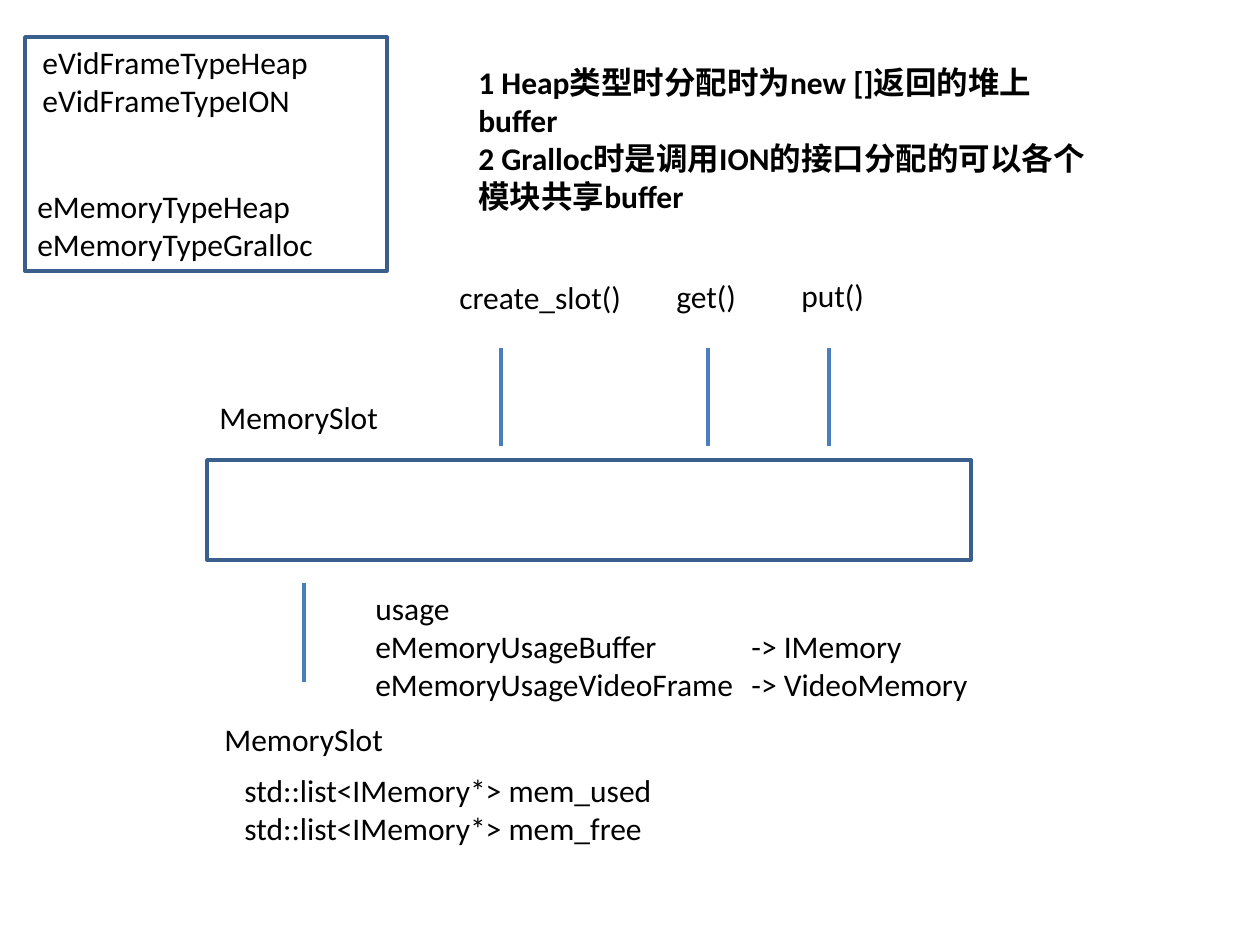
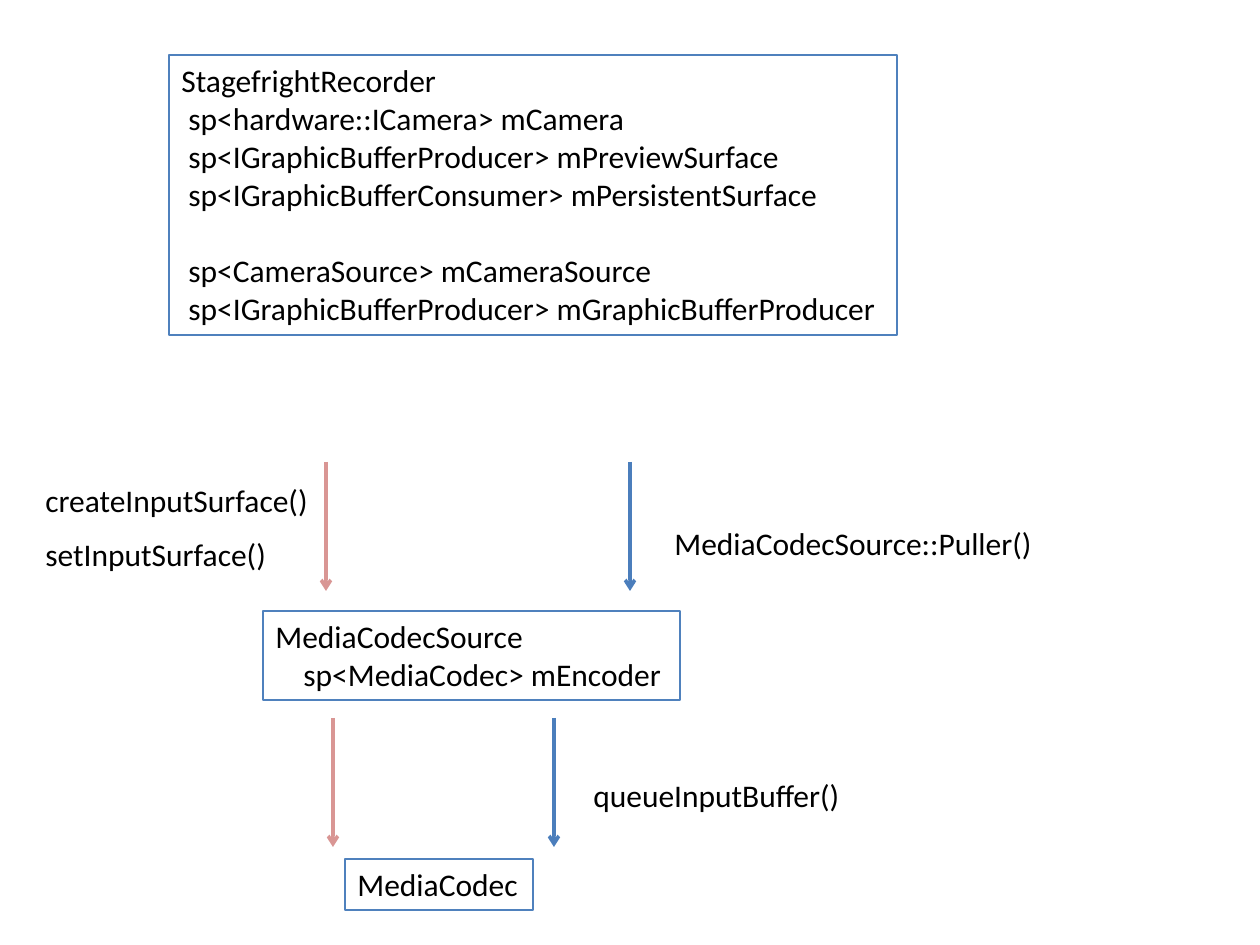
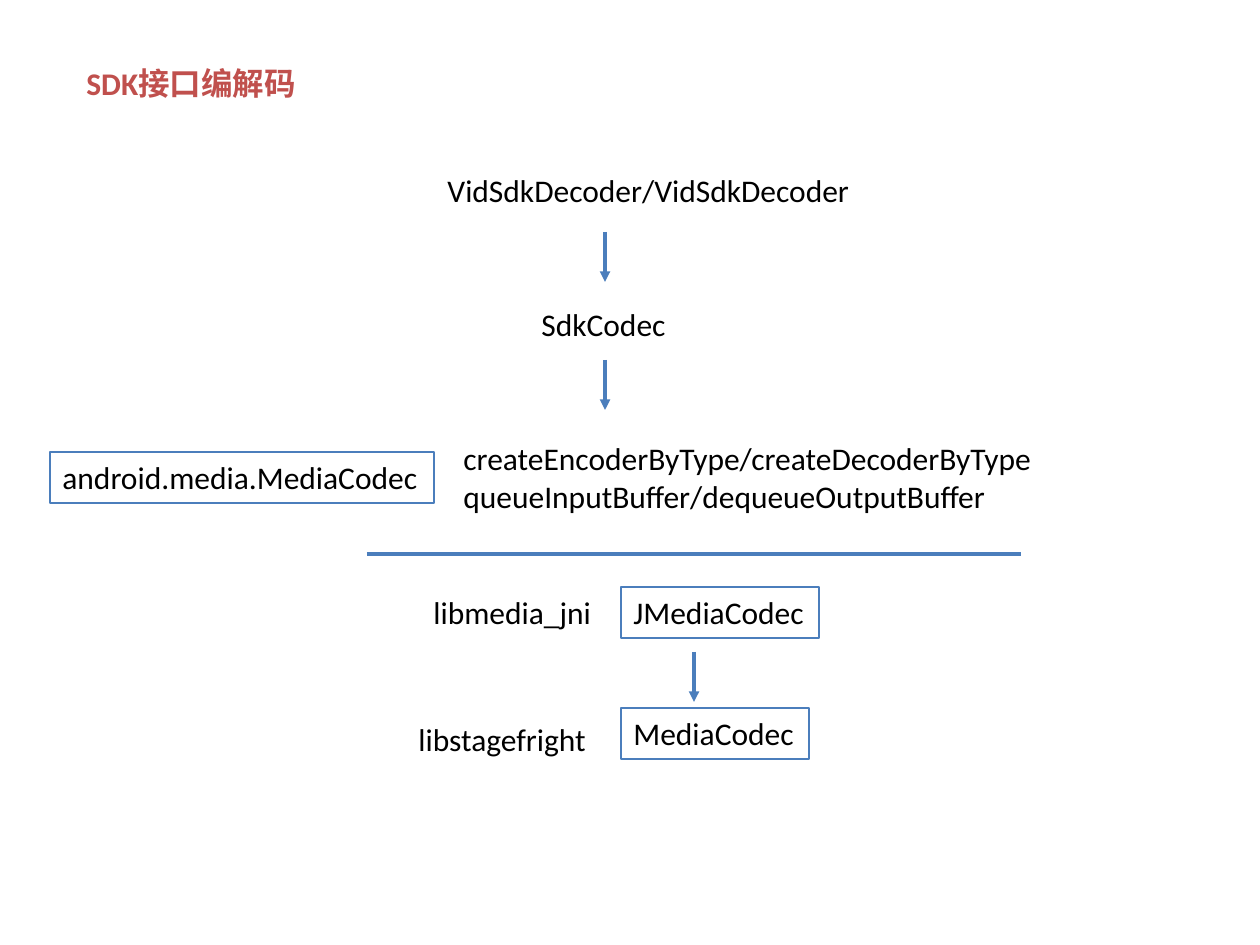
from lxml import etree
from pptx import Presentation
from pptx.dml.color import RGBColor
from pptx.enum.shapes import MSO_CONNECTOR, MSO_SHAPE
from pptx.enum.text import MSO_ANCHOR, MSO_AUTO_SIZE, PP_ALIGN
from pptx.oxml.ns import qn
from pptx.util import Pt

EMU_PER_PX = 914400 / 126
PAGE_WIDTH, PAGE_HEIGHT = 1260, 945
LINE_HEIGHT = 38
TEXT_PADDING = 13
FONT = "Calibri"
FONT_SIZE = Pt(18)
THIN, THICK = Pt(0.75), Pt(2)
COLORS = {
    "text": "000000",
    "title": "C0504D",
    "frame": "3A5F8C",
    "class_box": "4F81BD",
    "line": "4B7EBC",
    "surface": "D99694",
}
STRAIGHT = MSO_CONNECTOR.STRAIGHT
RECTANGLE = MSO_SHAPE.RECTANGLE
LEFT, TOP = PP_ALIGN.LEFT, MSO_ANCHOR.TOP
GROW = MSO_AUTO_SIZE.SHAPE_TO_FIT_TEXT


def px(value):
    return round(value * EMU_PER_PX)


def rgb(name):
    return RGBColor.from_string(COLORS[name])


def add_text(page, left, top, width, lines, color="text", bold=False,
             wrap=False, border=None, height=None):
    """Add left-aligned lines of text, with a thin border if a colour is named."""
    height = height or TEXT_PADDING + LINE_HEIGHT * len(lines)
    box = page.shapes.add_textbox(px(left), px(top), px(width), px(height))
    if border:
        box.line.color.rgb = rgb(border)
        box.line.width = THIN
    frame = box.text_frame
    frame.text = "\n".join(lines)
    frame.word_wrap = wrap
    frame.auto_size = GROW
    frame.vertical_anchor = TOP
    for para in frame.paragraphs:
        para.alignment = LEFT
        for span in para.runs:
            span.font.name = FONT
            span.font.size = FONT_SIZE
            span.font.bold = bold
            span.font.color.rgb = rgb(color)
    return box


def indent(paragraphs, distance):
    for para in paragraphs:
        para._p.get_or_add_pPr().set("marL", str(px(distance)))


def add_tab_stop(para, distance):
    tabs = etree.SubElement(para._p.get_or_add_pPr(), qn("a:tabLst"))
    etree.SubElement(tabs, qn("a:tab"), pos=str(px(distance)), algn="l")


def add_frame(page, left, top, width, height):
    frame = page.shapes.add_shape(RECTANGLE, px(left), px(top), px(width), px(height))
    frame.shadow.inherit = False
    frame.fill.background()
    frame.line.color.rgb = rgb("frame")
    frame.line.width = THICK


def add_line(page, left, top, right, bottom, color="line", head=None):
    line = page.shapes.add_connector(STRAIGHT, px(left), px(top), px(right), px(bottom))
    line.line.color.rgb = rgb(color)
    line.line.width = THICK
    if head:
        etree.SubElement(line.line._get_or_add_ln(), qn("a:tailEnd"), type=head)
    etree.SubElement(line._element.spPr, qn("a:effectLst"))


def add_type_list(page, left, top):
    add_frame(page, left, top, 362, 234)
    add_text(page, left + 5, top, 294, ["eVidFrameTypeHeap", "eVidFrameTypeION"])
    add_text(page, left, top + 144, 304, ["eMemoryTypeHeap", "eMemoryTypeGralloc"])


def add_slot_calls(page, left, top):
    calls = [("create_slot()", 0, 2, 189, 54),
             ("get()", 217, 1, 86, 261),
             ("put()", 342, 0, 89, 382)]
    for call, offset, drop, width, line_offset in calls:
        add_text(page, left + offset, top + drop, width, [call])
        add_line(page, left + line_offset, top + 78, left + line_offset, top + 176)


def add_memory_slot(page, left, top):
    add_text(page, left, top, 185, ["MemorySlot"])
    add_frame(page, left, top + 68, 764, 100)
    add_line(page, left + 97, top + 191, left + 97, top + 290)
    usage = add_text(page, left + 156, top + 191, 654,
                     ["usage", "eMemoryUsageBuffer\t-> IMemory",
                      "eMemoryUsageVideoFrame\t-> VideoMemory"], wrap=True)
    for para in usage.text_frame.paragraphs[1:]:
        add_tab_stop(para, 376)
    add_text(page, left + 5, top + 322, 185, ["MemorySlot"])
    add_text(page, left + 25, top + 373, 437,
             ["std::list<IMemory*> mem_used", "std::list<IMemory*> mem_free"])


def build_memory_page(page):
    add_memory_slot(page, 207, 392)
    add_slot_calls(page, 447, 270)
    add_type_list(page, 25, 37)
    add_text(page, 466, 57, 645,
             ["1 Heap类型时分配时为new []返回的堆上buffer",
              "2 Gralloc时是调用ION的接口分配的可以各个模块共享buffer"],
             bold=True, wrap=True, height=165)


def add_recorder(page, left, top):
    box = add_text(page, left, top, 728,
                   ["StagefrightRecorder",
                    "sp<hardware::ICamera> mCamera",
                    "sp<IGraphicBufferProducer> mPreviewSurface",
                    "sp<IGraphicBufferConsumer> mPersistentSurface",
                    "sp<CameraSource> mCameraSource",
                    "sp<IGraphicBufferProducer> mGraphicBufferProducer"],
                   border="class_box", height=280)
    members = box.text_frame.paragraphs[1:]
    indent(members, 7)
    members[3].space_before = Pt(22)


def add_flow(page, surface_x, buffer_x, top):
    """Add the pair of arrows that leads down to the next class."""
    for x, color in ((surface_x, "surface"), (buffer_x, "line")):
        add_line(page, x, top, x, top + 129, color, "arrow")


def build_recorder_page(page):
    add_recorder(page, 169, 55)
    add_flow(page, 326, 630, 462)
    add_text(page, 33, 475, 290, ["createInputSurface()"])
    add_text(page, 33, 529, 247, ["setInputSurface()"])
    add_text(page, 662, 518, 387, ["MediaCodecSource::Puller()"])
    source = add_text(page, 263, 611, 417,
                      ["MediaCodecSource", "sp<MediaCodec> mEncoder"],
                      border="class_box")
    indent(source.text_frame.paragraphs[1:], 28)
    add_flow(page, 333, 554, 718)
    add_text(page, 581, 770, 275, ["queueInputBuffer()"])
    add_text(page, 345, 859, 188, ["MediaCodec"], border="class_box")


def add_step_arrow(page, x, top):
    add_line(page, x, top, x, top + 50, head="triangle")


def add_sdk_layer(page, left, top):
    add_text(page, left + 385, top, 432, ["VidSdkDecoder/VidSdkDecoder"])
    add_step_arrow(page, left + 555, top + 67)
    add_text(page, left + 479, top + 134, 151, ["SdkCodec"])
    add_step_arrow(page, left + 555, top + 195)
    add_text(page, left, top + 287, 384, ["android.media.MediaCodec"], border="line")
    add_text(page, left + 401, top + 268, 600,
             ["createEncoderByType/createDecoderByType",
              "queueInputBuffer/dequeueOutputBuffer"])


def add_native_layer(page, left, top):
    add_text(page, left + 15, top, 185, ["libmedia_jni"])
    add_text(page, left + 215, top, 198, ["JMediaCodec"], border="line")
    add_step_arrow(page, left + 288, top + 65)
    add_text(page, left, top + 127, 195, ["libstagefright"])
    add_text(page, left + 215, top + 121, 188, ["MediaCodec"], border="line")


def build_sdk_page(page):
    add_text(page, 74, 58, 238, ["SDK接口编解码"], color="title", bold=True, wrap=True)
    add_sdk_layer(page, 50, 165)
    add_line(page, 367, 554, 1021, 554)
    add_native_layer(page, 406, 587)


def main():
    deck = Presentation()
    deck.slide_width, deck.slide_height = px(PAGE_WIDTH), px(PAGE_HEIGHT)
    for build in (build_memory_page, build_recorder_page, build_sdk_page):
        build(deck.slides.add_slide(deck.slide_layouts[6]))
    deck.save("out.pptx")


if __name__ == "__main__":
    main()
